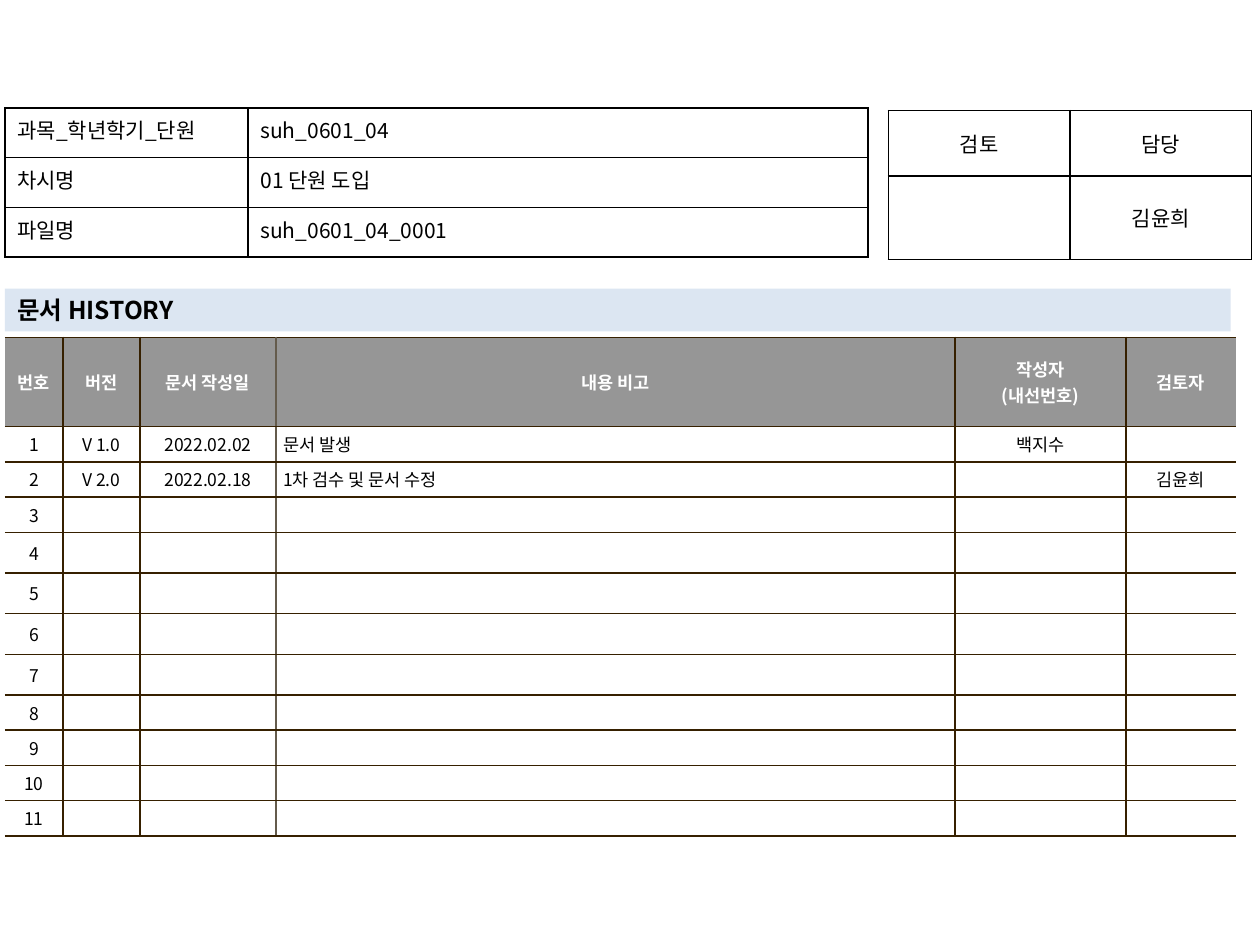
from dataclasses import dataclass

from lxml.etree import SubElement
from pptx import Presentation
from pptx.dml.color import RGBColor
from pptx.enum.shapes import MSO_SHAPE as Shape
from pptx.enum.text import MSO_ANCHOR as Anchor, PP_ALIGN as Align
from pptx.oxml.ns import qn
from pptx.util import Cm, Pt

FONT = "Noto Sans CJK KR"
BLACK, WHITE = "000000", "FFFFFF"
BROWN, TAUPE = "362000", "645B4C"
GRAY, PALE_BLUE = "969696", "DCE6F2"


@dataclass(frozen=True)
class TextStyle:
    size: int
    color: str = BLACK
    bold: bool = False


@dataclass(frozen=True)
class Grid:
    left: float
    top: float
    widths: list[float]
    heights: list[float]
    rows: list[list[str]]
    aligns: list[Align]
    margins: tuple[float, float]
    body: TextStyle
    header: TextStyle
    anchor: Anchor = Anchor.MIDDLE
    line: str = BLACK
    fill: str | None = None
    header_fill: str | None = None
    open_sides: bool = False
    soft_column: int | None = None


def rgb(color: str) -> RGBColor:
    return RGBColor.from_string(color)


def write(frame, text: str, style: TextStyle, align: Align) -> None:
    for index, line in enumerate(text.split("\n")):
        para = frame.paragraphs[0] if index == 0 else frame.add_paragraph()
        para.alignment = align
        if not line:
            SubElement(para._p, qn("a:endParaRPr"), sz=str(style.size * 100))
            continue
        span = para.add_run()
        span.text = line
        span.font.size = Pt(style.size)
        span.font.bold = style.bold
        span.font.color.rgb = rgb(style.color)
        span.font.name = FONT
        SubElement(span.font._element, qn("a:ea"), typeface=FONT)


def paint(target, color: str | None) -> None:
    if color is None:
        target.fill.background()
    else:
        target.fill.solid()
        target.fill.fore_color.rgb = rgb(color)


def draw_border(cell, side: str, color: str | None) -> None:
    properties = cell._tc.get_or_add_tcPr()
    border = SubElement(properties, qn(f"a:ln{side}"), w=str(Pt(1)))
    if color is None:
        SubElement(border, qn("a:noFill"))
    else:
        solid = SubElement(border, qn("a:solidFill"))
        SubElement(solid, qn("a:srgbClr"), val=color)


def edge_color(grid: Grid, edge: int) -> str | None:
    if grid.open_sides and edge in (0, len(grid.widths)):
        return None
    return TAUPE if edge == grid.soft_column else grid.line


def draw_grid(page, grid: Grid) -> None:
    frame = page.shapes.add_table(
        len(grid.heights), len(grid.widths), Cm(grid.left), Cm(grid.top),
        Cm(sum(grid.widths)), Cm(sum(grid.heights)))
    table = frame.table
    table.first_row = table.horz_banding = False
    for column, width in zip(table.columns, grid.widths):
        column.width = Cm(width)
    for row, height in zip(table.rows, grid.heights):
        row.height = Cm(height)
    for y, texts in enumerate(grid.rows):
        for x, text in enumerate(texts):
            cell = table.cell(y, x)
            cell.margin_left = cell.margin_right = Cm(grid.margins[0])
            cell.margin_top = cell.margin_bottom = Cm(grid.margins[1])
            cell.vertical_anchor = grid.anchor
            draw_border(cell, "L", edge_color(grid, x))
            draw_border(cell, "R", edge_color(grid, x + 1))
            draw_border(cell, "T", grid.line)
            draw_border(cell, "B", grid.line)
            is_header = y == 0
            paint(cell, grid.header_fill if is_header else grid.fill)
            align = Align.CENTER if is_header and grid.header_fill else grid.aligns[x]
            write(cell.text_frame, text, grid.header if is_header else grid.body, align)


def draw_heading(page, text: str) -> None:
    box = page.shapes.add_shape(Shape.RECTANGLE, Cm(0.1), Cm(5.82), Cm(24.71), Cm(0.86))
    box.shadow.inherit = False
    box.line.fill.background()
    paint(box, PALE_BLUE)
    box.text_frame.word_wrap = True
    box.text_frame.vertical_anchor = Anchor.MIDDLE
    write(box.text_frame, text, TextStyle(14, bold=True), Align.LEFT)


def history_rows() -> list[list[str]]:
    entries = [
        ["V 1.0", "2022.02.02", "문서 발생", "백지수", ""],
        ["V 2.0", "2022.02.18", "1차 검수 및 문서 수정", "", "김윤희"],
    ]
    entries += [[""] * 5 for _ in range(9)]
    titles = ["번호", "버전", "문서 작성일", "내용 비고", "작성자\n(내선번호)", "검토자"]
    return [titles] + [[str(number), *entry] for number, entry in enumerate(entries, 1)]


def main() -> None:
    deck = Presentation()
    deck.slide_width, deck.slide_height = Cm(25.4), Cm(19.05)
    page = deck.slides.add_slide(deck.slide_layouts[6])
    plain = TextStyle(12)
    centre = Align.CENTER

    draw_grid(page, Grid(
        0.1, 6.8, [1.17, 1.55, 2.74, 13.69, 3.45, 2.21],
        [1.8] + [0.71] * 3 + [0.82] * 4 + [0.71] * 4, history_rows(),
        [centre, centre, centre, Align.LEFT, centre, centre], (0.15, 0.1),
        body=TextStyle(10), header=TextStyle(10, WHITE, True), line=BROWN,
        fill=WHITE, header_fill=GRAY, open_sides=True, soft_column=3))
    draw_grid(page, Grid(
        17.91, 2.23, [3.66, 3.66], [1.32, 1.68],
        [["검토", "담당"], ["", "김윤희"]], [centre, centre], (0.25, 0.13),
        body=plain, header=plain))
    draw_heading(page, "문서 HISTORY")
    draw_grid(page, Grid(
        0.1, 2.18, [4.9, 12.5], [1.0] * 3,
        [["과목_학년학기_단원", "suh_0601_04"],
         ["차시명", "01 단원 도입"],
         ["파일명", "suh_0601_04_0001"]],
        [Align.JUSTIFY, Align.LEFT], (0.25, 0.13),
        body=plain, header=plain, anchor=Anchor.TOP))
    deck.save("out.pptx")


if __name__ == "__main__":
    main()
